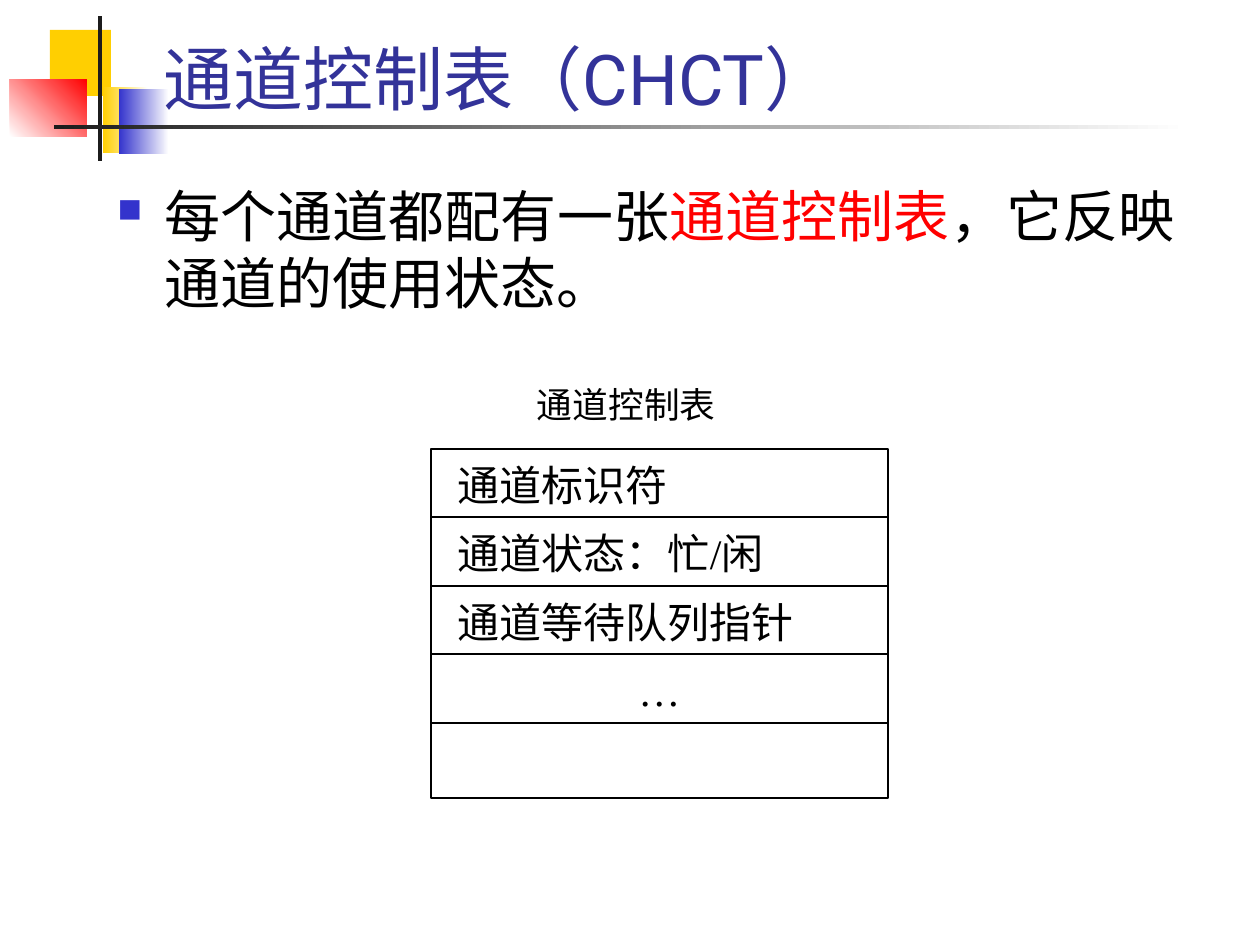
from dataclasses import dataclass

import pptx
import pptx.dml.color
import pptx.enum.shapes
import pptx.enum.text
import pptx.oxml
import pptx.oxml.ns
import pptx.util

PX_PER_INCH = 126
ALIGN = pptx.enum.text.PP_ALIGN
ANCHOR = pptx.enum.text.MSO_ANCHOR


@dataclass(frozen=True)
class Theme:
    yellow: str = "FFCF01"
    blue: str = "3333CC"
    red: str = "FF0000"
    dark: str = "1C1C1C"
    title: str = "333399"
    black: str = "000000"
    white: str = "FFFFFF"
    sans: str = "Roboto"
    serif: str = "Times New Roman"
    title_size: float = 40
    body_size: float = 32
    field_size: float = 24
    caption_size: float = 20.4
    line_width: float = 1.25


def px(value):
    return pptx.util.Emu(round(value * 914400 / PX_PER_INCH))


def rgb(value):
    return pptx.dml.color.RGBColor.from_string(value)


class SlideBuilder:
    def __init__(self, slide, theme):
        self.slide = slide
        self.theme = theme

    def rectangle(self, box, color, end_color=None, angle=0, line=None):
        """Plain rectangle; a second colour makes the fill a gradient."""
        shape = self.slide.shapes.add_shape(
            pptx.enum.shapes.MSO_SHAPE.RECTANGLE, *map(px, box))
        shape.shadow.inherit = False
        if end_color:
            shape.fill.gradient()
            shape.fill.gradient_angle = angle
            for stop, stop_color in zip(shape.fill.gradient_stops, (color, end_color)):
                stop.color.rgb = rgb(stop_color)
        else:
            shape.fill.solid()
            shape.fill.fore_color.rgb = rgb(color)
        if line:
            shape.line.color.rgb = rgb(line)
            shape.line.width = pptx.util.Pt(self.theme.line_width)
        else:
            shape.line.fill.background()
        return shape

    def line(self, x1, y1, x2, y2):
        connector = self.slide.shapes.add_connector(
            pptx.enum.shapes.MSO_CONNECTOR.STRAIGHT, *map(px, (x1, y1, x2, y2)))
        connector.line.color.rgb = rgb(self.theme.black)
        connector.line.width = pptx.util.Pt(self.theme.line_width)
        properties = connector._element.find(pptx.oxml.ns.qn("p:spPr"))
        properties.append(pptx.oxml.parse_xml(
            f'<a:effectLst {pptx.oxml.ns.nsdecls("a")}/>'))

    def text_box(self, box, anchor=ANCHOR.TOP, inset=None):
        shape = self.slide.shapes.add_textbox(*map(px, box))
        self.frame(shape, anchor, inset)
        return shape.text_frame.paragraphs[0]

    def frame(self, shape, anchor, inset=None):
        frame = shape.text_frame
        frame.word_wrap = True
        frame.vertical_anchor = anchor
        if inset:
            (frame.margin_left, frame.margin_top,
             frame.margin_right, frame.margin_bottom) = map(px, inset)

    def add_runs(self, paragraph, runs, size, font, align=ALIGN.JUSTIFY):
        """Runs are (text, colour) pairs in one font."""
        paragraph.alignment = align
        for text, color in runs:
            run = paragraph.add_run()
            run.text = text
            run.font.size = pptx.util.Pt(size)
            run.font.name = font
            run.font.color.rgb = rgb(color)

    def indent(self, paragraph, left, first=0):
        properties = paragraph._p.get_or_add_pPr()
        properties.set("marL", str(px(left)))
        properties.set("indent", str(px(first)))

    def bullet(self, paragraph, character, color, percent):
        properties = paragraph._p.get_or_add_pPr()
        namespace = pptx.oxml.ns.nsdecls("a")
        for xml in (
            f'<a:buClr {namespace}><a:srgbClr val="{color}"/></a:buClr>',
            f'<a:buSzPct {namespace} val="{percent * 1000}"/>',
            f'<a:buChar {namespace} char="{character}"/>',
        ):
            properties.append(pptx.oxml.parse_xml(xml))


def main():
    presentation = pptx.Presentation()
    presentation.slide_width = px(1260)
    presentation.slide_height = px(945)
    theme = Theme()
    slide = presentation.slides.add_slide(presentation.slide_layouts[6])
    builder = SlideBuilder(slide, theme)

    # Corner decoration and title rule
    builder.rectangle((50, 30, 61, 66), theme.yellow)
    builder.rectangle((103, 87, 45, 66), theme.yellow, theme.white)
    builder.rectangle((119, 89, 50, 65), theme.blue, theme.white)
    builder.rectangle((10, 79, 77, 58), theme.white, theme.red, angle=45)
    builder.rectangle((98, 16, 4, 145), theme.dark)
    builder.rectangle((54, 125, 1134, 4), theme.dark, theme.white)

    # Title
    title = builder.text_box((151, 21, 1074, 105), ANCHOR.BOTTOM)
    builder.add_runs(title, [("通道控制表（CHCT）", theme.title)],
                     theme.title_size, theme.sans, ALIGN.LEFT)

    # Body statement
    body = builder.text_box((105, 175, 1082, 194))
    builder.indent(body, 47, -47)
    builder.bullet(body, "■", theme.blue, 60)
    builder.add_runs(body, [("每个通道都配有一张", theme.black),
                            ("通道控制表", theme.red),
                            ("，它反映通道的使用状态。", theme.black)],
                     theme.body_size, theme.sans)

    # Caption above the control table
    caption = builder.text_box((537, 388, 239, 42), inset=(0, 0, 0, 0))
    caption.line_spacing = 0.9
    builder.add_runs(caption, [("通道控制表", theme.black)],
                     theme.caption_size, theme.serif)

    # Control table: one frame, its fields and the row lines
    left, top, width, height = 431, 449, 457, 349
    frame = builder.rectangle((left, top, width, height), theme.white, line=theme.black)
    builder.frame(frame, ANCHOR.TOP, (0, 10, 0, 0))
    fields = ["通道标识符", "通道状态：忙/闲", "通道等待队列指针", "…"]
    for index, field in enumerate(fields):
        if index == 0:
            paragraph = frame.text_frame.paragraphs[0]
        else:
            paragraph = frame.text_frame.add_paragraph()
            paragraph.space_before = pptx.util.Pt(10.4)
        centred = field == "…"
        if not centred:
            builder.indent(paragraph, 27)
        builder.add_runs(paragraph, [(field, theme.black)], theme.field_size,
                         theme.serif, ALIGN.CENTER if centred else ALIGN.JUSTIFY)

    first_line, last_line = 517, 723
    row_height = (last_line - first_line) / (len(fields) - 1)
    for index in range(len(fields)):
        y = round(first_line + index * row_height)
        builder.line(left, y, left + width, y)

    presentation.save("out.pptx")


if __name__ == "__main__":
    main()
